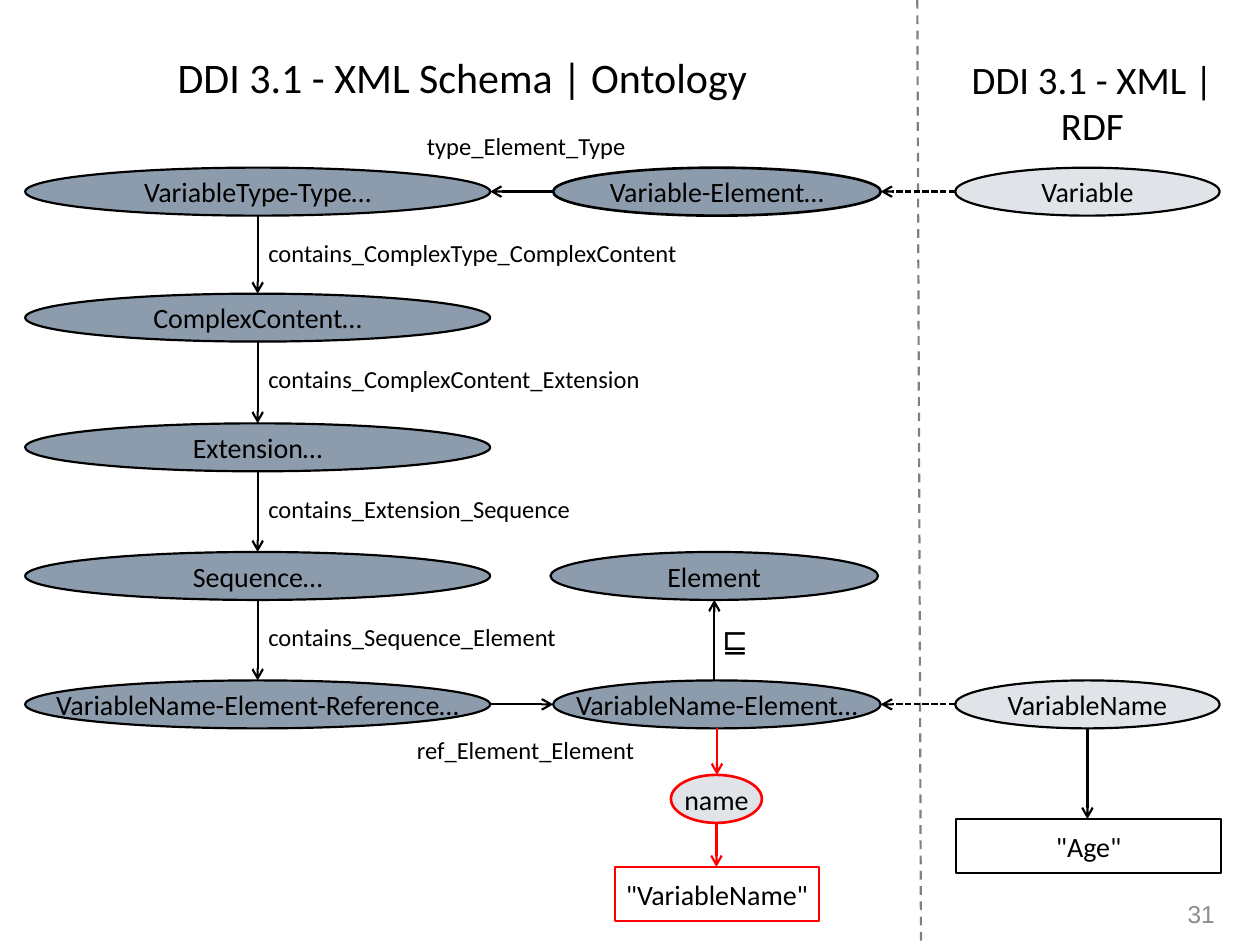
import pptx
import pptx.util
import pptx.dml.color
import pptx.enum.dml
import pptx.enum.shapes
import pptx.enum.text
import pptx.oxml
import pptx.oxml.ns

Pt = pptx.util.Pt
Shape = pptx.enum.shapes.MSO_SHAPE
Align = pptx.enum.text.PP_ALIGN
Anchor = pptx.enum.text.MSO_ANCHOR
Fit = pptx.enum.text.MSO_AUTO_SIZE
Dash = pptx.enum.dml.MSO_LINE

BLACK, RED, NAVY = "000000", "FF0000", "294465"
DARK, PALE = 53, 14
HIGH = 27.4
ROWS = [95.8, 167.8, 241.9, 315.4, 388.8]
LEFT, MID, RIGHT = (14.4, 265.7), (316.1, 187.2), (545.8, 151.2)


def color(text):
    return pptx.dml.color.RGBColor.from_string(text)


def child(parent, tag, **attrs):
    node = pptx.oxml.parse_xml(f'<{tag} {pptx.oxml.ns.nsdecls("a")}/>')
    for key, value in attrs.items():
        node.set(key, value)
    parent.append(node)


def write(frame, text, size, align, tone=BLACK, font="Calibri"):
    frame.text = text
    para = frame.paragraphs[0]
    para.alignment = align
    face = para.runs[0].font
    face.size, face.name = Pt(size), font
    face.color.rgb = color(tone)


def node(slide, kind, box, text, inset=0, alpha=None, tone=BLACK, width=1.25):
    """Add an outlined shape; without alpha it has no fill."""
    shape = slide.shapes.add_shape(kind, *map(Pt, box))
    shape.shadow.inherit = False
    if alpha is None:
        shape.fill.background()
    else:
        shape.fill.solid()
        shape.fill.fore_color.rgb = color(NAVY)
        fill = shape.fill.fore_color._xFill.find(pptx.oxml.ns.qn("a:srgbClr"))
        child(fill, "a:alpha", val=str(alpha * 1000))
    shape.line.color.rgb = color(tone)
    shape.line.width = Pt(width)
    frame = shape.text_frame
    frame.word_wrap = False
    frame.vertical_anchor = Anchor.MIDDLE
    frame.margin_left = frame.margin_right = Pt(inset)
    frame.margin_top = frame.margin_bottom = Pt(inset)
    write(frame, text, 16, Align.CENTER)
    return shape


def oval(slide, span, top, text, **style):
    left, wide = span
    return node(slide, Shape.OVAL, (left, top, wide, HIGH), text, **style)


def line(slide, start, end, tone=BLACK, dash=None, arrow=True):
    link = slide.shapes.add_connector(
        pptx.enum.shapes.MSO_CONNECTOR.STRAIGHT, *start, *end)
    link.line.color.rgb = color(tone)
    link.line.width = Pt(1.25)
    if dash:
        link.line.dash_style = dash
    if arrow:
        child(link.line._get_or_add_ln(), "a:tailEnd", type="arrow")
    child(link._element.spPr, "a:effectLst")


def down(slide, upper, lower, tone=BLACK):
    mid = upper.left + upper.width // 2
    line(slide, (mid, upper.top + upper.height), (mid, lower.top), tone)


def up(slide, lower, upper):
    mid = upper.left + upper.width // 2
    line(slide, (mid, lower.top), (mid, upper.top + upper.height))


def across(slide, start, end, dash=None):
    """Link facing sides of two shapes in one row."""
    mid = start.top + start.height // 2
    if start.left < end.left:
        ends = start.left + start.width, end.left
    else:
        ends = start.left, end.left + end.width
    line(slide, (ends[0], mid), (ends[1], mid), dash=dash)


def label(slide, box, text, size=14):
    area = slide.shapes.add_textbox(*map(Pt, box))
    area.text_frame.word_wrap = False
    area.text_frame.auto_size = Fit.SHAPE_TO_FIT_TEXT
    write(area.text_frame, text, size, Align.LEFT)


def block(slide, box, text, size, align=Align.CENTER, **style):
    """Add a wrapped text box."""
    area = slide.shapes.add_textbox(*map(Pt, box))
    area.text_frame.word_wrap = True
    write(area.text_frame, text, size, align, **style)
    return area


def main():
    deck = pptx.Presentation()
    deck.slide_width, deck.slide_height = Pt(720), Pt(540)
    slide = deck.slides.add_slide(deck.slide_layouts[6])

    block(slide, (0, 25.9, 528.5, 41.8), "DDI 3.1 - XML Schema | Ontology", 24)
    block(slide, (528.5, 28.1, 191.5, 39.6), "DDI 3.1 - XML | RDF", 22.2)
    line(slide, (Pt(524.2), 0), (Pt(526.3), Pt(540)), "808080",
         Dash.DASH, arrow=False)

    names = ["VariableType-Type…", "ComplexContent…", "Extension…",
             "Sequence…", "VariableName-Element-Reference…"]
    chain = [oval(slide, LEFT, top, name, alpha=DARK)
             for top, name in zip(ROWS, names)]
    for upper, lower in zip(chain, chain[1:]):
        down(slide, upper, lower)
    steps = [("contains_ComplexType_ComplexContent", 250.6),
             ("contains_ComplexContent_Extension", 229),
             ("contains_Extension_Sequence", 188.6),
             ("contains_Sequence_Element", 180.7)]
    for top, (text, wide) in zip(ROWS, steps):
        label(slide, (146.2, top + 36.7, wide, 24.2), text)

    first = oval(slide, MID, ROWS[0], "Variable-Element…",
                 alpha=DARK, width=1.5)
    last = oval(slide, MID, ROWS[4], "VariableName-Element…", alpha=DARK)
    base = oval(slide, (314.6, 187.2), ROWS[3], "Element", alpha=DARK)
    across(slide, first, chain[0])
    across(slide, chain[4], last)
    up(slide, last, base)
    label(slide, (236.9, 71.3, 129.6, 24.2), "type_Element_Type")
    label(slide, (231.1, 416.2, 140.4, 24.2), "ref_Element_Element")
    label(slide, (405.4, 351.4, 28.1, 28.8), "⊑", 18)

    name = oval(slide, (383.4, 52), 442.8, "name",
                alpha=PALE, tone=RED, width=1.5)
    value = node(slide, Shape.RECTANGLE, (351.4, 495.4, 116.6, 31),
                 '"VariableName"', inset=5.8, tone=RED)
    down(slide, last, name, RED)
    down(slide, name, value, RED)

    top = oval(slide, RIGHT, ROWS[0], "Variable", alpha=PALE)
    low = oval(slide, RIGHT, ROWS[4], "VariableName", alpha=PALE)
    age = node(slide, Shape.RECTANGLE, (546.5, 468, 151.2, 31),
               '"Age"', inset=5.8)
    across(slide, top, first, Dash.SQUARE_DOT)
    across(slide, low, last, Dash.SQUARE_DOT)
    down(slide, low, age)

    page = block(slide, (533.5, 507.6, 167.8, 28.8), "31", 14, Align.RIGHT,
                 tone="8C8C8C", font="Arial")
    page.text_frame.vertical_anchor = Anchor.MIDDLE
    deck.save("out.pptx")


if __name__ == "__main__":
    main()
